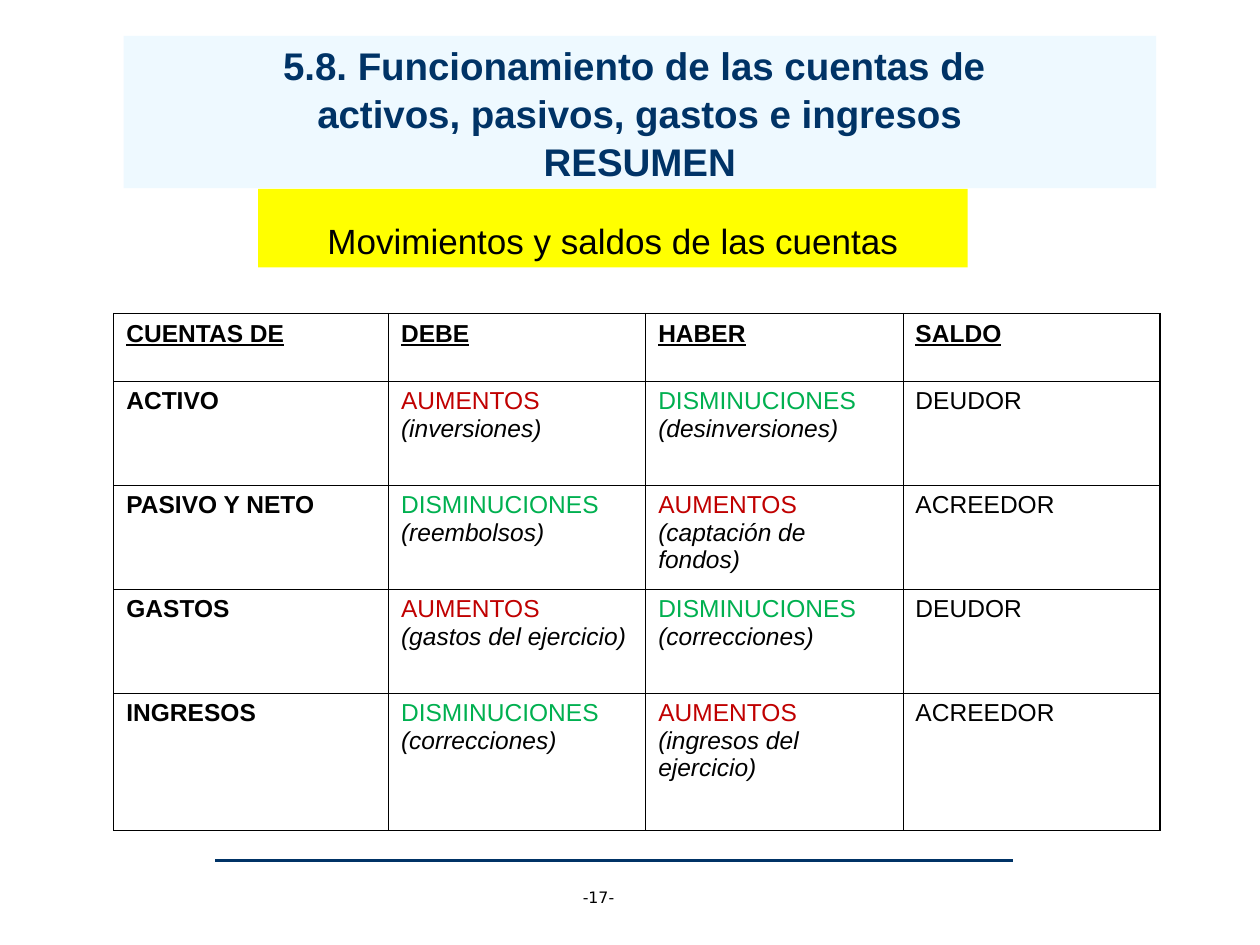
"""Build a slide that sums up how ledger accounts move and balance."""
from dataclasses import dataclass

from lxml import etree
from pptx import Presentation
from pptx.dml.color import RGBColor
from pptx.enum.shapes import MSO_CONNECTOR, MSO_SHAPE
from pptx.enum.text import MSO_ANCHOR, PP_ALIGN
from pptx.oxml import parse_xml
from pptx.oxml.ns import nsdecls, qn
from pptx.util import Pt

LINE = MSO_CONNECTOR.STRAIGHT
RECT = MSO_SHAPE.RECTANGLE
TOP, MIDDLE, BOTTOM = MSO_ANCHOR.TOP, MSO_ANCHOR.MIDDLE, MSO_ANCHOR.BOTTOM
LEFT, CENTER = PP_ALIGN.LEFT, PP_ALIGN.CENTER


@dataclass(frozen=True)
class Theme:
    """Hold the colours, fonts and type sizes."""
    navy: str = "003366"
    pale: str = "EEF9FF"
    yellow: str = "FFFF00"
    black: str = "000000"
    white: str = "FFFFFF"
    red: str = "C00000"
    green: str = "00B050"
    font: str = "Arial"
    page_font: str = "DejaVu Sans"
    title: int = 22
    banner: int = 20
    cell: int = 14
    page: int = 9
    outer: float = 0.96
    inner: float = 0.45


class Deck:
    """Draw styled elements on the current slide."""

    def __init__(self, theme, slide):
        self.theme = theme
        self.slide = slide

    def place(self, shape, box):
        """Move a shape to a box of left, top, width and height."""
        shape.left, shape.top, shape.width, shape.height = map(Pt, box)

    def paint(self, shape, color):
        """Fill a shape or cell with one colour."""
        shape.fill.solid()
        shape.fill.fore_color.rgb = RGBColor.from_string(color)

    def frame(self, shape, anchor):
        """Set wrap, insets and anchor, and return the text frame."""
        frame = shape.text_frame
        frame.word_wrap = True
        frame.margin_left = frame.margin_right = Pt(7.2)
        frame.margin_top = frame.margin_bottom = Pt(3.6)
        frame.vertical_anchor = anchor
        return frame

    def run(self, para, text, size, color=None, font=None, bold=False,
            italic=False, underline=False):
        """Add one styled run to a paragraph."""
        run = para.add_run()
        run.text = text
        style = run.font
        style.size = Pt(size)
        style.name = font or self.theme.font
        style.color.rgb = RGBColor.from_string(color or self.theme.black)
        style.bold, style.italic, style.underline = bold, italic, underline

    def title(self, box, lines):
        """Fill the title placeholder with centred lines."""
        shape = self.slide.shapes.title
        self.place(shape, box)
        self.paint(shape, self.theme.pale)
        para = self.frame(shape, MIDDLE).paragraphs[0]
        para.alignment = CENTER
        para.line_spacing = 1.05
        for index, line in enumerate(lines):
            if index:
                para.add_line_break()
            self.run(para, line, self.theme.title, self.theme.navy, bold=True)

    def banner(self, box, text):
        """Draw a filled bar with its text at the bottom."""
        shape = self.slide.shapes.add_shape(RECT, *map(Pt, box))
        shape.shadow.inherit = False
        shape.line.fill.background()
        self.paint(shape, self.theme.yellow)
        para = self.frame(shape, BOTTOM).paragraphs[0]
        para.alignment = CENTER
        self.run(para, text, self.theme.banner)

    def rule(self, start, end, width):
        """Draw a plain straight line."""
        line = self.slide.shapes.add_connector(LINE, *map(Pt, start + end))
        line.line.width = Pt(width)
        line.line.color.rgb = RGBColor.from_string(self.theme.navy)
        etree.SubElement(line._element.spPr, qn("a:effectLst"))

    def page(self, box, text):
        """Write the page number."""
        shape = self.slide.shapes.add_textbox(*map(Pt, box))
        para = self.frame(shape, TOP).paragraphs[0]
        para.alignment = CENTER
        self.run(para, text, self.theme.page, font=self.theme.page_font)

    def border(self, cell, edges):
        """Draw the four cell borders, heavier on the table's edge."""
        props = cell._tc.get_or_add_tcPr()
        for side, edge in edges.items():
            width = Pt(self.theme.outer if edge else self.theme.inner)
            props.append(parse_xml(
                f'<a:ln{side} {nsdecls("a")} w="{width}"><a:solidFill>'
                f'<a:srgbClr val="{self.theme.black}"/></a:solidFill>'
                f'</a:ln{side}>'))

    def table(self, box, widths, heights, rows):
        """Draw a ruled table whose cells are lists of styled lines."""
        shape = self.slide.shapes.add_table(
            len(rows), len(widths), *map(Pt, box))
        table = shape.table
        table.first_row = table.horz_banding = False
        for column, width in zip(table.columns, widths):
            column.width = Pt(width)
        for row, height in zip(table.rows, heights):
            row.height = Pt(height)
        for r, row in enumerate(rows):
            for c, lines in enumerate(row):
                cell = table.cell(r, c)
                self.border(cell, {"L": c == 0, "R": c == len(widths) - 1,
                                   "T": r == 0, "B": r == len(rows) - 1})
                self.paint(cell, self.theme.white)
                self.fill(cell, lines)

    def fill(self, cell, lines):
        """Write each line of a cell as its own paragraph."""
        frame = self.frame(cell, TOP)
        for index, (text, style) in enumerate(lines):
            para = frame.add_paragraph() if index else frame.paragraphs[0]
            para.alignment = LEFT
            self.run(para, text, self.theme.cell, **style)


def ledger(theme):
    """Return the table rows as styled lines."""
    up = ("AUMENTOS", {"color": theme.red})
    down = ("DISMINUCIONES", {"color": theme.green})
    heads = ("CUENTAS DE", "DEBE", "HABER", "SALDO")
    rows = [[[(head, {"bold": True, "underline": True})] for head in heads]]
    data = (
        ("ACTIVO", "(inversiones)", "(desinversiones)", "DEUDOR"),
        ("PASIVO Y NETO", "(reembolsos)", "(captación de fondos)", "ACREEDOR"),
        ("GASTOS", "(gastos del ejercicio)", "(correcciones)", "DEUDOR"),
        ("INGRESOS", "(correcciones)", "(ingresos del ejercicio)", "ACREEDOR"),
    )
    for name, debit, credit, balance in data:
        first, second = (up, down) if balance == "DEUDOR" else (down, up)
        rows.append([[(name, {"bold": True})],
                     [first, (debit, {"italic": True})],
                     [second, (credit, {"italic": True})],
                     [(balance, {})]])
    return rows


def main():
    """Build and save the slide."""
    show = Presentation()
    show.slide_width, show.slide_height = Pt(720), Pt(540)
    theme = Theme()
    deck = Deck(theme, show.slides.add_slide(show.slide_layouts[5]))
    deck.page((306, 504, 72, 19.4), "-17-")
    deck.rule((123, 491.8), (579, 491.8), 1.5)
    deck.title((70.6, 20.5, 590, 87),
               ("5.8. Funcionamiento de las cuentas de ",
                "activos, pasivos, gastos e ingresos", "RESUMEN"))
    deck.banner((147.5, 108, 405.5, 44.8),
                "Movimientos y saldos de las cuentas")
    widths, heights = (157, 147, 147, 147), (38.5, 59.5, 59.5, 59.5, 78.5)
    deck.table((65, 179.2, sum(widths), sum(heights)),
               widths, heights, ledger(theme))
    show.save("out.pptx")


if __name__ == "__main__":
    main()
